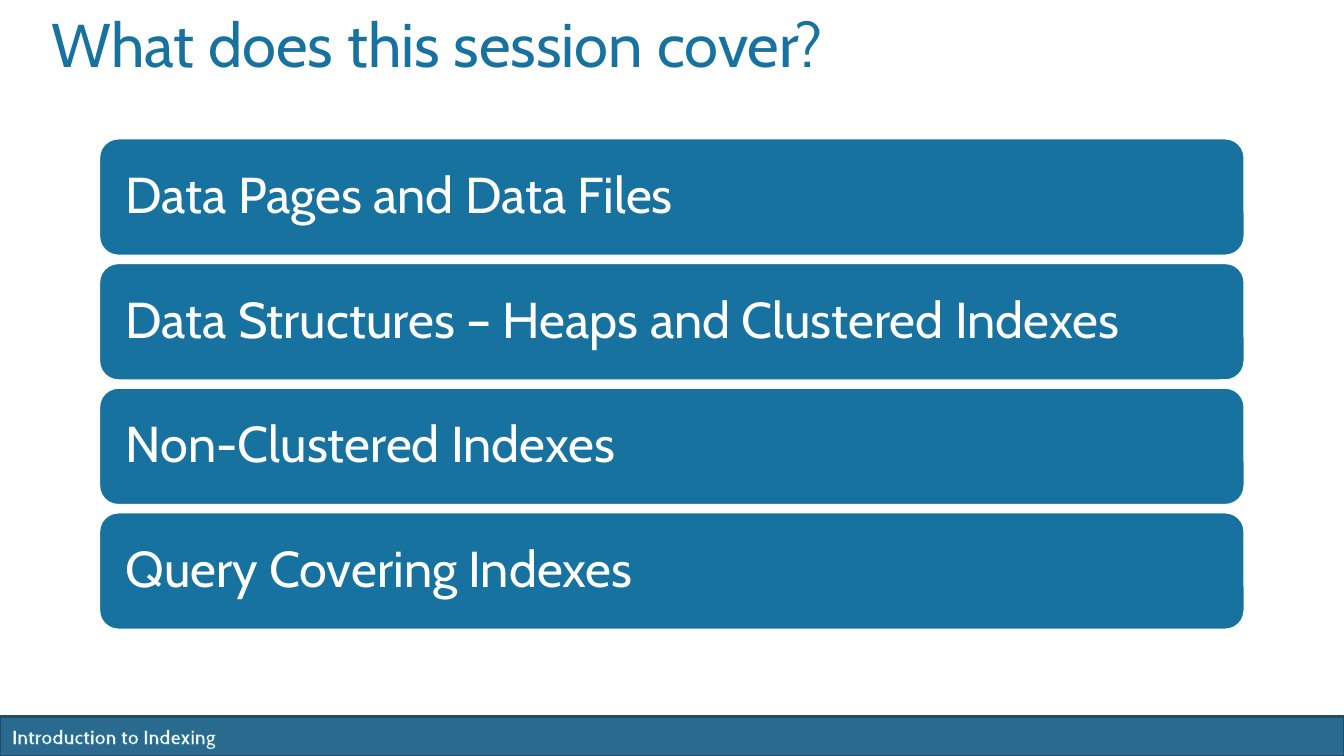
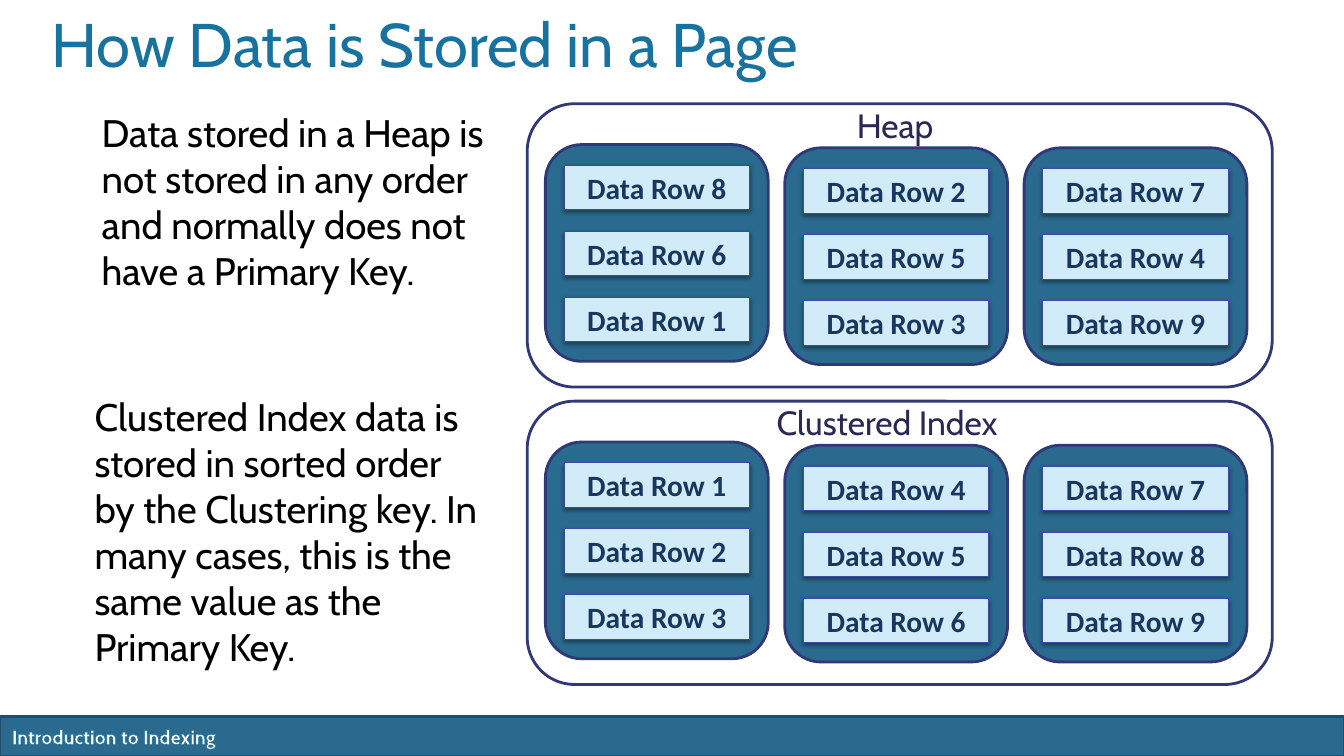
from lxml.etree import SubElement
from pptx import Presentation
from pptx.dml.color import RGBColor
from pptx.enum.shapes import MSO_SHAPE
from pptx.enum.text import MSO_ANCHOR, MSO_AUTO_SIZE, PP_ALIGN
from pptx.oxml.ns import qn
from pptx.util import Inches, Pt

# Colours
WHITE = RGBColor(0xFF, 0xFF, 0xFF)
BLACK = RGBColor(0x00, 0x00, 0x00)
BLUE = RGBColor(0x18, 0x72, 0xA0)
STEEL = RGBColor(0x29, 0x6A, 0x8E)
STEEL_DARK = RGBColor(0x1E, 0x4E, 0x69)
INDIGO = RGBColor(0x31, 0x38, 0x76)
ROW_FILL = RGBColor(0xD1, 0xEB, 0xF8)
ROW_LINE = RGBColor(0x3E, 0x49, 0x9F)
NAVY = RGBColor(0x17, 0x37, 0x5E)
LABEL = RGBColor(0x2A, 0x29, 0x54)

# Text formats
TITLE_FMT = {"name": "Cabin", "size": Pt(44), "color": BLUE}
FOOTER_FMT = {"name": "Cabin", "size": Pt(14), "bold": True, "color": WHITE}
TOPIC_FMT = {"name": "Cabin", "size": Pt(36), "color": WHITE}
BODY_FMT = {"name": "Cabin", "size": Pt(27.4), "color": BLACK}
LABEL_FMT = {"name": "Cabin", "size": Pt(24), "color": LABEL}
ROW_FMT = {"name": "Calibri", "size": Pt(21), "bold": True, "color": NAVY}

# Slide size; all places below are percentages of it
WIDTH, HEIGHT = Inches(13.33), Inches(7.5)

# Grid of pages in a panel and of rows in a page
PANEL_X, PANEL_W, PANEL_H = 39.23, 55.43, 37.47
PAGE_X, PAGE_W, PAGE_H, PAGE_STEP = 40.58, 16.58, 28.67, 17.81
PAGE_DROPS = (5.4, 5.83, 5.83)
ROW_DX, ROW_DY, ROW_W, ROW_H, ROW_STEP = 1.39, 2.77, 13.8, 5.87, 8.73

TOPICS = [
    "Data Pages and Data Files",
    "Data Structures – Heaps and Clustered Indexes",
    "Non-Clustered Indexes",
    "Query Covering Indexes",
]


def at(x, y, w, h):
    """Turn percentages of the slide into lengths."""
    return (int(WIDTH * x / 100), int(HEIGHT * y / 100),
            int(WIDTH * w / 100), int(HEIGHT * h / 100))


def write(tf, text, fmt, align=PP_ALIGN.LEFT):
    p = tf.paragraphs[0]
    p.alignment = align
    r = p.add_run()
    r.text = text
    for name, value in fmt.items():
        if name == "color":
            r.font.color.rgb = value
        else:
            setattr(r.font, name, value)
    return p


def add_box(slide, kind, box, fill, line, line_width=2):
    sp = slide.shapes.add_shape(kind, *at(*box))
    sp.shadow.inherit = False
    sp.fill.solid()
    sp.fill.fore_color.rgb = fill
    sp.line.color.rgb = line
    sp.line.width = Pt(line_width)
    return sp


def add_text(slide, box, text, fmt, align=PP_ALIGN.LEFT):
    sp = slide.shapes.add_textbox(*at(*box))
    sp.text_frame.word_wrap = True
    write(sp.text_frame, text, fmt, align)
    return sp


def add_color(parent, rgb):
    return SubElement(parent, qn("a:srgbClr"), val=str(rgb))


def drop_shadow(sp):
    effects = sp.element.spPr.find(qn("a:effectLst"))
    shadow = SubElement(effects, qn("a:outerShdw"), blurRad=str(Pt(3.1)),
                        dist=str(Pt(1.6)), dir="5400000", rotWithShape="0")
    SubElement(add_color(shadow, BLACK), qn("a:alpha"), val="38000")


def outline_text(p, rgb, width):
    rPr = p.runs[0].font._element
    ln = SubElement(rPr, qn("a:ln"), w=str(Pt(width)))
    add_color(SubElement(ln, qn("a:solidFill")), rgb)
    rPr.insert(0, ln)


def set_up_layout(layout, slide):
    """Place the title and move the footer band into the layout."""
    for ph in list(layout.placeholders):
        if ph.placeholder_format.idx:
            ph.element.getparent().remove(ph.element)
        else:
            ph.left, ph.top, ph.width, ph.height = at(3.08, 3.47, 90, 16.67)
    band = add_box(slide, MSO_SHAPE.RECTANGLE, (0, 94.8, 100, 5.2),
                   STEEL, STEEL_DARK)
    footer = add_text(slide, (0.15, 95.2, 45.45, 4.53),
                      "Introduction to Indexing", FOOTER_FMT)
    outline_text(footer.text_frame.paragraphs[0], BLUE, 0.8)
    for sp in (band, footer):
        layout.shapes.element.append(sp.element)


def set_title(slide, text):
    tf = slide.shapes.title.text_frame
    tf.auto_size = MSO_AUTO_SIZE.NONE
    tf.vertical_anchor = MSO_ANCHOR.TOP
    write(tf, text, TITLE_FMT).line_spacing = Pt(35)


def add_topic(slide, i, text):
    sp = add_box(slide, MSO_SHAPE.ROUNDED_RECTANGLE,
                 (7.35, 18.27 + 16.49 * i, 85.28, 15.6), BLUE, WHITE)
    tf = sp.text_frame
    tf.margin_left = tf.margin_right = Inches(0.21)
    write(tf, text, TOPIC_FMT).line_spacing = 0.9


def add_row(slide, x, y, number):
    sp = add_box(slide, MSO_SHAPE.RECTANGLE, (x, y, ROW_W, ROW_H),
                 ROW_FILL, ROW_LINE, 0.75)
    drop_shadow(sp)
    tf = sp.text_frame
    tf.margin_left = tf.margin_right = Inches(0.07)
    tf.margin_top = tf.margin_bottom = Inches(0.04)
    write(tf, f"Data Row {number}", ROW_FMT, PP_ALIGN.CENTER)


def add_page(slide, x, y, numbers):
    add_box(slide, MSO_SHAPE.ROUNDED_RECTANGLE, (x, y, PAGE_W, PAGE_H),
            STEEL, INDIGO)
    for j, number in enumerate(numbers):
        add_row(slide, x + ROW_DX, y + ROW_DY + ROW_STEP * j, number)


def add_panel(slide, top, label, label_x, pages):
    add_box(slide, MSO_SHAPE.ROUNDED_RECTANGLE,
            (PANEL_X, top, PANEL_W, PANEL_H), WHITE, INDIGO)
    add_text(slide, (label_x, top - 0.53, 19.2, 6.8), label, LABEL_FMT,
             PP_ALIGN.CENTER)
    for i, (drop, numbers) in enumerate(zip(PAGE_DROPS, pages)):
        add_page(slide, PAGE_X + PAGE_STEP * i, top + drop, numbers)


def main():
    prs = Presentation()
    prs.slide_width, prs.slide_height = WIDTH, HEIGHT
    layout = prs.slide_layouts.get_by_name("Title Only")

    # Session topics
    slide = prs.slides.add_slide(layout)
    set_up_layout(layout, slide)
    set_title(slide, "What does this session cover?")
    for i, topic in enumerate(TOPICS):
        add_topic(slide, i, topic)

    # Heap and clustered index compared
    slide = prs.slides.add_slide(layout)
    set_title(slide, "How Data is Stored in a Page")
    add_text(slide, (6.83, 13.73, 30.45, 32.13),
             "Data stored in a Heap is not stored in any order and normally "
             "does not have a Primary Key.", BODY_FMT)
    add_panel(slide, 13.73, "Heap", 57,
              [(8, 6, 1), (2, 5, 3), (7, 4, 9)])
    add_text(slide, (6.3, 51.33, 30.45, 38.27),
             "Clustered Index data is stored in sorted order by the "
             "Clustering key. In many cases, this is the same value as the "
             "Primary Key.", BODY_FMT)
    add_panel(slide, 53.07, "Clustered Index", 56.4,
              [(1, 2, 3), (4, 5, 6), (7, 8, 9)])

    prs.save("out.pptx")


if __name__ == "__main__":
    main()
